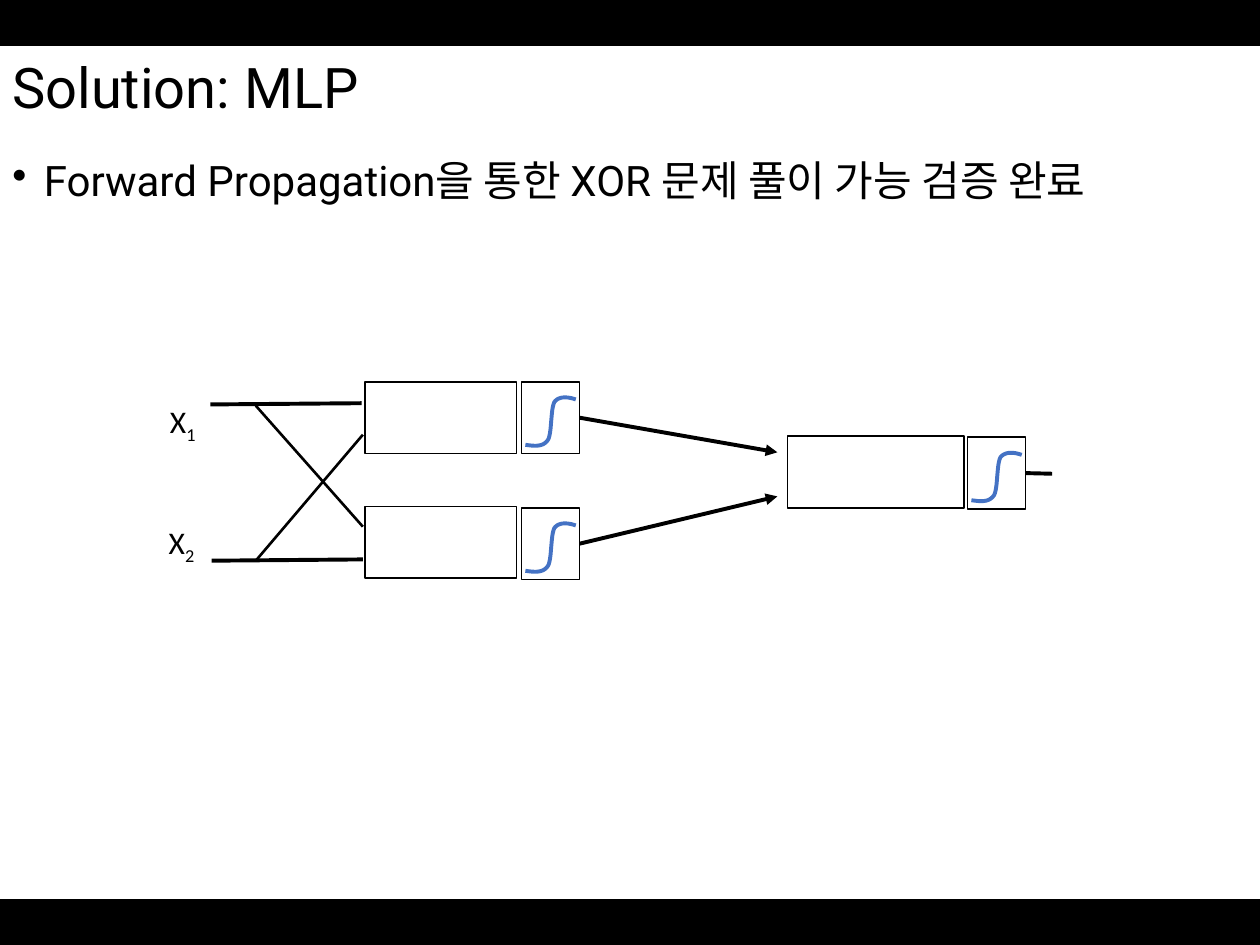
from dataclasses import dataclass

from lxml.etree import SubElement
from pptx import Presentation
from pptx.dml.color import RGBColor
from pptx.enum.shapes import MSO_CONNECTOR, MSO_SHAPE
from pptx.enum.text import MSO_ANCHOR, MSO_AUTO_SIZE
from pptx.oxml.ns import qn
from pptx.shapes.autoshape import Shape
from pptx.shapes.connector import Connector
from pptx.slide import Slide
from pptx.text.text import _Paragraph as Paragraph
from pptx.util import Inches, Pt

BLACK = RGBColor(0x00, 0x00, 0x00)
BLUE = RGBColor(0x44, 0x72, 0xC4)
RIGHT_SIDE = 3
NODE_HEIGHT = 0.57
ACTIVATION_WIDTH = 0.46
CURVE_STEPS = 12
SIGMOID = (
    ((0, 0.38), (0.07, 0.39), (0.14, 0.4), (0.18, 0.34)),
    ((0.18, 0.34), (0.21, 0.29), (0.2, 0.1), (0.23, 0.04)),
    ((0.23, 0.04), (0.27, -0.01), (0.34, 0), (0.4, 0.02)),
)


@dataclass(frozen=True)
class Neuron:
    left: float
    top: float
    width: float
    activation_left: float
    activation_top: float


@dataclass(frozen=True)
class Wire:
    start: tuple[float, float]
    end: tuple[float, float]
    weight: float = 2.25
    arrow: bool = False


@dataclass(frozen=True)
class InputLabel:
    left: float
    top: float
    index: str


HIDDEN_NEURONS = (
    Neuron(2.9, 3.03, 1.2, 4.14, 3.03),
    Neuron(2.9, 4.02, 1.2, 4.14, 4.03),
)
OUTPUT_NEURON = Neuron(6.25, 3.46, 1.4, 7.68, 3.47)
HIDDEN_WIRES = (
    Wire((4.6, 3.31), (6.17, 3.59), arrow=True),
    Wire((4.6, 4.31), (6.17, 3.94), arrow=True),
)
OUTPUT_WIRE = Wire((8.14, 3.76), (8.35, 3.76))
INPUT_WIRES = (
    Wire((1.67, 3.21), (2.87, 3.2)),
    Wire((1.68, 4.45), (2.88, 4.44)),
    Wire((2.03, 4.45), (2.88, 3.45), 1.5),
    Wire((2.88, 4.18), (2.03, 3.22), 1.5),
)
INPUT_LABELS = (InputLabel(1.25, 3.14, "1"), InputLabel(1.24, 4.1, "2"))


def add_box(page: Slide, left: float, top: float, width: float, height: float,
            filled: bool = False) -> Shape:
    box = page.shapes.add_shape(MSO_SHAPE.RECTANGLE, Inches(left), Inches(top),
                                Inches(width), Inches(height))
    box.shadow.inherit = False
    if filled:
        box.fill.solid()
        box.fill.fore_color.rgb = BLACK
    else:
        box.fill.background()
    box.line.color.rgb = BLACK
    box.line.width = Pt(1)
    return box


def add_text_box(page: Slide, left: float, top: float, width: float,
                 height: float, wrap: bool = True) -> Shape:
    box = page.shapes.add_textbox(Inches(left), Inches(top), Inches(width), Inches(height))
    box.text_frame.word_wrap = wrap
    return box


def add_span(para: Paragraph, text: str, size: float, font: str,
             subscript: bool = False) -> None:
    span = para.add_run()
    span.text = text
    span.font.size = Pt(size)
    span.font.name = font
    span.font.color.rgb = BLACK
    if subscript:
        span._r.get_or_add_rPr().set("baseline", "-25000")


def add_wire(page: Slide, wire: Wire) -> Connector:
    line = page.shapes.add_connector(
        MSO_CONNECTOR.STRAIGHT, *(Inches(value) for value in wire.start + wire.end))
    line.line.color.rgb = BLACK
    line.line.width = Pt(wire.weight)
    if wire.arrow:
        SubElement(line.line._get_or_add_ln(), qn("a:tailEnd"), type="triangle")
    SubElement(line._element.spPr, qn("a:effectLst"))
    return line


def add_sigmoid(page: Slide, left: float, top: float) -> None:
    points = []
    for curve in SIGMOID:
        for step in range(1, CURVE_STEPS + 1):
            t = step / CURVE_STEPS
            weights = ((1 - t) ** 3, 3 * t * (1 - t) ** 2, 3 * t ** 2 * (1 - t), t ** 3)
            x = sum(weight * point[0] for weight, point in zip(weights, curve))
            y = sum(weight * point[1] for weight, point in zip(weights, curve))
            points.append((Inches(left + x), Inches(top + y)))
    start_x, start_y = SIGMOID[0][0]
    builder = page.shapes.build_freeform(Inches(left + start_x), Inches(top + start_y))
    builder.add_line_segments(points, close=False)
    sigmoid = builder.convert_to_shape()
    sigmoid.shadow.inherit = False
    sigmoid.fill.background()
    sigmoid.line.color.rgb = BLUE
    sigmoid.line.width = Pt(2.25)


def add_neuron(page: Slide, neuron: Neuron) -> Shape:
    add_box(page, neuron.left, neuron.top, neuron.width, NODE_HEIGHT)
    activation = add_box(page, neuron.activation_left, neuron.activation_top,
                         ACTIVATION_WIDTH, NODE_HEIGHT)
    add_sigmoid(page, neuron.activation_left + 0.03, neuron.activation_top + 0.12)
    return activation


def add_input_label(page: Slide, label: InputLabel) -> None:
    box = add_text_box(page, label.left, label.top, 0.42, 0.4, wrap=False)
    box.text_frame.auto_size = MSO_AUTO_SIZE.SHAPE_TO_FIT_TEXT
    para = box.text_frame.paragraphs[0]
    add_span(para, "X", 18, "Calibri")
    add_span(para, label.index, 18, "Calibri", subscript=True)


def add_headings(page: Slide) -> None:
    title = add_text_box(page, 0, 0.4, 10, 0.64)
    title.text_frame.vertical_anchor = MSO_ANCHOR.MIDDLE
    para = title.text_frame.paragraphs[0]
    para.line_spacing = 0.9
    add_span(para, "Solution: MLP", 32, "Roboto")

    body = add_text_box(page, 0, 1.22, 10, 5.92)
    para = body.text_frame.paragraphs[0]
    para.line_spacing = 0.9
    properties = para._p.get_or_add_pPr()
    properties.set("marL", str(Inches(0.25)))
    properties.set("indent", str(Inches(-0.25)))
    SubElement(properties, qn("a:buChar"), char="•")
    add_span(para, "Forward Propagation을 통한 XOR 문제 풀이 가능 검증 완료", 24, "Roboto")


def main() -> None:
    deck = Presentation()
    deck.slide_width = Inches(10)
    deck.slide_height = Inches(7.5)
    page = deck.slides.add_slide(deck.slide_layouts[6])

    for top in (0, 7.14):
        add_box(page, 0, top, 10, 0.36, filled=True)
    add_headings(page)
    for label in INPUT_LABELS:
        add_input_label(page, label)
    for wire in INPUT_WIRES:
        add_wire(page, wire)
    neurons = (*HIDDEN_NEURONS, OUTPUT_NEURON)
    for neuron, wire in zip(neurons, (*HIDDEN_WIRES, OUTPUT_WIRE)):
        activation = add_neuron(page, neuron)
        add_wire(page, wire).begin_connect(activation, RIGHT_SIDE)

    deck.save("out.pptx")


if __name__ == "__main__":
    main()
